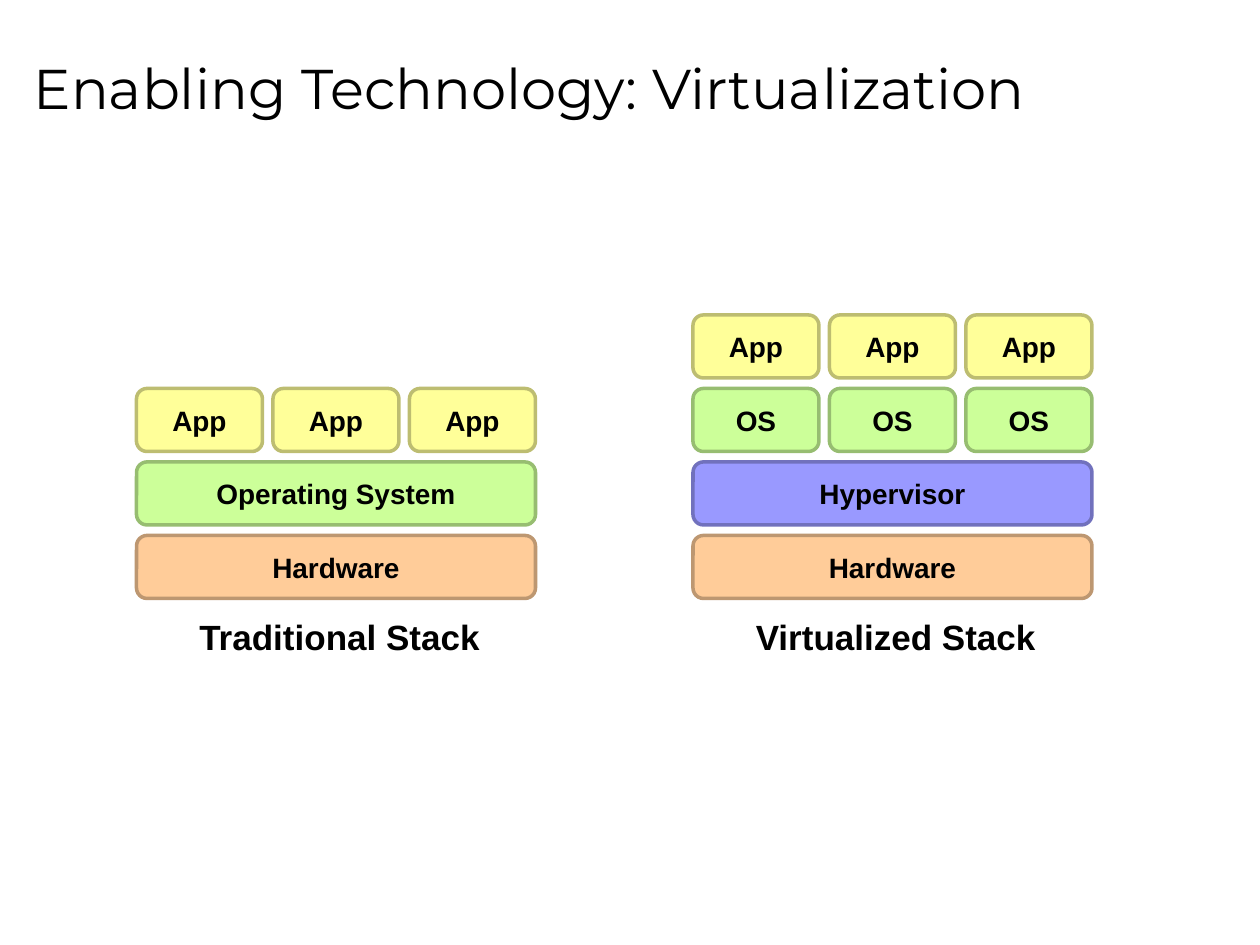
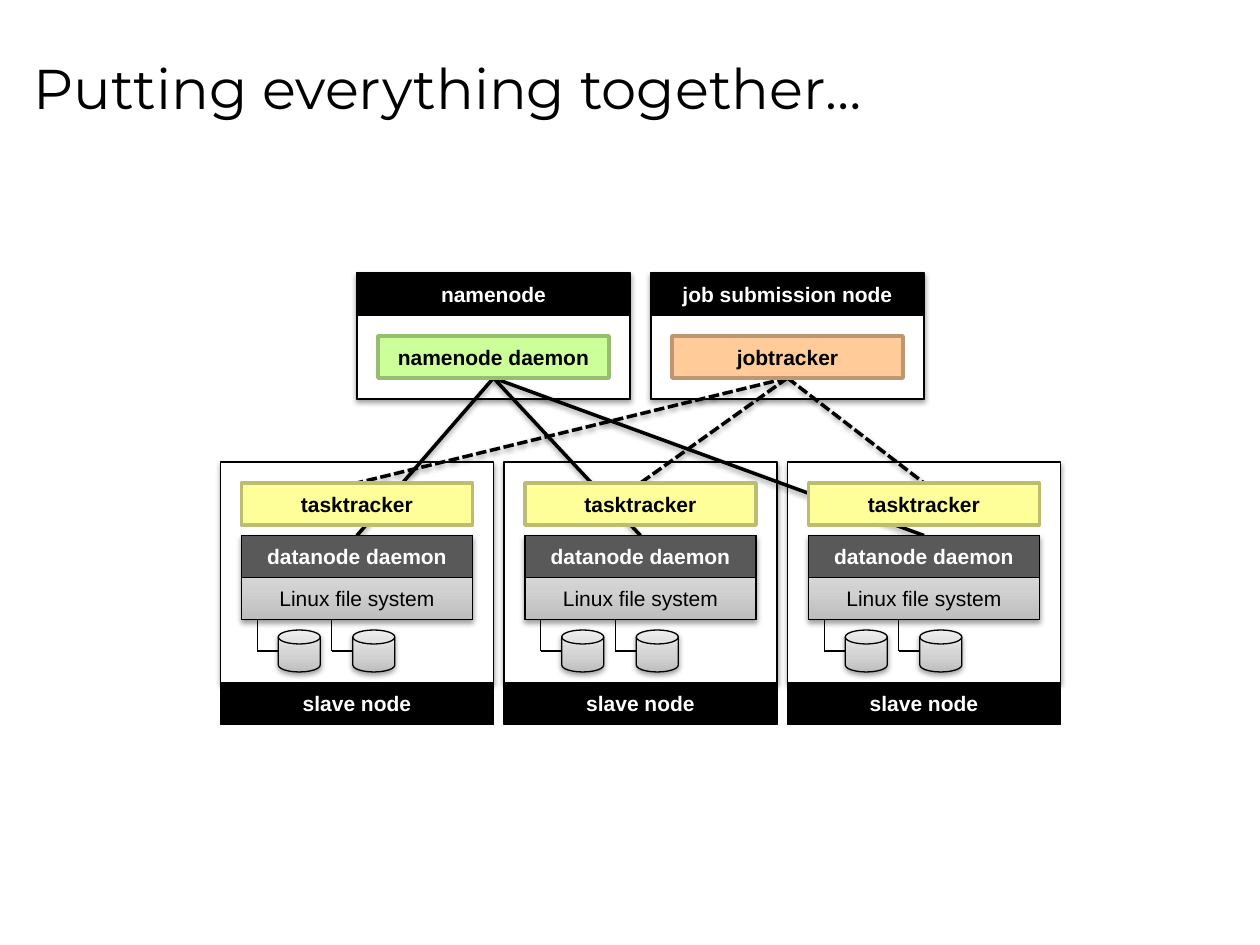
from lxml.etree import SubElement
from pptx import Presentation
from pptx.dml.color import RGBColor
from pptx.enum.dml import MSO_LINE
from pptx.enum.shapes import MSO_CONNECTOR, MSO_SHAPE
from pptx.enum.text import MSO_ANCHOR, MSO_AUTO_SIZE, PP_ALIGN
from pptx.oxml import parse_xml
from pptx.oxml.ns import nsdecls, qn
from pptx.util import Emu, Pt

PX = 7620  # 120 px to the inch
TOP, BOTTOM = 0, 2  # connection sites of a rectangle

COLOURS = {
    "black": "000000", "white": "FFFFFF", "charcoal": "595959",
    "orange": "FFCC99", "orange edge": "BD9771",
    "green": "CCFF99", "green edge": "97BD71",
    "yellow": "FFFF99", "yellow edge": "BDBD71",
    "blue": "9999FF", "blue edge": "7171BD",
}
SILVER = ((0, "BDBDBD"), (35, "D1D1D1"), (100, "EEEEEE"))


def px(*lengths):
    return [Emu(length * PX) for length in lengths]


def rgb(name):
    return RGBColor.from_string(COLOURS[name])


def add_shadow(effects):
    shadow = SubElement(effects, qn("a:outerShdw"), blurRad="40000",
                        dist="20000", dir="5400000", rotWithShape="0")
    colour = SubElement(shadow, qn("a:srgbClr"), val=COLOURS["black"])
    SubElement(colour, qn("a:alpha"), val="38000")


class Deck:
    def __init__(self):
        self.presentation = Presentation()
        self.presentation.slide_width, self.presentation.slide_height = px(1200, 900)
        self.slide = None

    def start_slide(self, heading):
        self.slide = self.presentation.slides.add_slide(
            self.presentation.slide_layouts[5])
        title = self.slide.shapes.title
        title.left, title.top, title.width, title.height = px(20, 15, 1140, 135)
        title.text_frame.auto_size = MSO_AUTO_SIZE.NONE
        title.text_frame.vertical_anchor = MSO_ANCHOR.MIDDLE
        self.add_text(title, heading, 32, font="Montserrat", bold=False,
                      align=PP_ALIGN.LEFT)

    def add_text(self, holder, text, size, colour="black", font="Arial", bold=True,
                 align=PP_ALIGN.CENTER):
        paragraph = holder.text_frame.paragraphs[0]
        paragraph.alignment = align
        run = paragraph.add_run()
        run.text = text
        run.font.name, run.font.size, run.font.bold = font, Pt(size), bold
        run.font.color.rgb = rgb(colour)

    def box(self, left, top, width, height, fill=None, text=None, size=12,
            ink="black", bold=True, kind=MSO_SHAPE.RECTANGLE, shadow=False):
        """Draw a shape; a fill with an edge colour gets the thick tinted outline."""
        shape = self.slide.shapes.add_shape(kind, *px(left, top, width, height))
        edge = f"{fill} edge"
        tinted = edge in COLOURS
        shape.line.color.rgb = rgb(edge if tinted else "black")
        shape.line.width = Pt(2 if tinted else 0.75)
        if fill == "silver":
            self.fill_silver(shape)
        elif fill:
            shape.fill.solid()
            shape.fill.fore_color.rgb = rgb(fill)
        else:
            shape.fill.background()
        shape.shadow.inherit = False
        if shadow:
            add_shadow(shape._element.spPr.find(qn("a:effectLst")))
        if text:
            shape.text_frame.vertical_anchor = MSO_ANCHOR.MIDDLE
            self.add_text(shape, text, size, ink, bold=bold)
        return shape

    def fill_silver(self, shape):
        stops = "".join(f'<a:gs pos="{position * 1000}"><a:srgbClr val="{colour}"/></a:gs>'
                        for position, colour in SILVER)
        gradient = parse_xml(
            f'<a:gradFill {nsdecls("a")} rotWithShape="1"><a:gsLst>{stops}</a:gsLst>'
            '<a:lin ang="16200000" scaled="0"/></a:gradFill>')
        shape._element.spPr.find(qn("a:prstGeom")).addnext(gradient)

    def caption(self, left, top, width, height, text):
        box = self.slide.shapes.add_textbox(*px(left, top, width, height))
        box.text_frame.word_wrap = False
        box.text_frame.auto_size = MSO_AUTO_SIZE.SHAPE_TO_FIT_TEXT
        self.add_text(box, text, 20, align=PP_ALIGN.LEFT)

    def line(self, x1=0, y1=0, x2=0, y2=0, width=0.75, shadow=False):
        connector = self.slide.shapes.add_connector(
            MSO_CONNECTOR.STRAIGHT, *px(x1, y1, x2, y2))
        connector.line.color.rgb = rgb("black")
        connector.line.width = Pt(width)
        effects = SubElement(connector._element.spPr, qn("a:effectLst"))
        if shadow:
            add_shadow(effects)
        return connector

    def link(self, master, worker, above, dashed=False):
        """Join two boxes with a line stacked just above the given panel."""
        connector = self.line(width=2, shadow=True)
        connector.begin_connect(master, BOTTOM)
        connector.end_connect(worker, TOP)
        if dashed:
            connector.line.dash_style = MSO_LINE.SQUARE_DOT
        above._element.addnext(connector._element)


def draw_stack(deck, left, layers, caption):
    """Pile up layers of (text, colour, cells), the lowest first."""
    gap, full_width, height = 10, 380, 60
    for level, (text, colour, cells) in enumerate(layers):
        width = (full_width - gap * (cells - 1)) // cells
        for cell in range(cells):
            deck.box(left + cell * (width + gap), 510 - level * (height + gap),
                     width, height, colour, text, 16,
                     kind=MSO_SHAPE.ROUNDED_RECTANGLE)
    deck.caption(left + 48, 580, 293, 53, caption)


def draw_master(deck, left, name, daemon, colour):
    deck.box(left, 260, 260, 40, "black", name, ink="white")
    deck.box(left, 300, 260, 80)
    return deck.box(left + 20, 320, 220, 40, colour, daemon)


def draw_slave(deck, left):
    inner = left + 20
    deck.box(inner, 510, 220, 80, "silver", shadow=True)
    datanode = deck.box(inner, 510, 220, 40, "charcoal", "datanode daemon", ink="white")
    deck.box(inner, 550, 220, 40, text="Linux file system", bold=False)
    for disk in (left + 55, left + 126):
        deck.box(disk, 600, 40, 40, "silver", shadow=True,
                 kind=MSO_SHAPE.FLOWCHART_MAGNETIC_DISK)
        deck.line(disk - 20, 590, disk - 20, 620)
        deck.line(disk - 20, 620, disk, 620)
    tasktracker = deck.box(inner, 460, 220, 40, "yellow", "tasktracker")
    deck.box(left, 650, 260, 40, "black", "slave node", ink="white")
    return datanode, tasktracker


def virtualization_slide(deck):
    deck.start_slide("Enabling Technology: Virtualization")
    hardware = ("Hardware", "orange", 1)
    apps = ("App", "yellow", 3)
    draw_stack(deck, 130, [hardware, ("Operating System", "green", 1), apps],
               "Traditional Stack")
    draw_stack(deck, 660, [hardware, ("Hypervisor", "blue", 1), ("OS", "green", 3), apps],
               "Virtualized Stack")


def cluster_slide(deck):
    deck.start_slide("Putting everything together…")
    namenode_left, job_left = 340, 620
    slave_lefts = [210 + 270 * i for i in range(3)]
    for left in (namenode_left, job_left):
        deck.box(left, 260, 260, 120, "white", shadow=True)
    for left in slave_lefts:
        top_panel = deck.box(left, 440, 260, 210, "white", shadow=True)

    slaves = [draw_slave(deck, left) for left in slave_lefts]
    namenode = draw_master(deck, namenode_left, "namenode", "namenode daemon", "green")
    jobtracker = draw_master(deck, job_left, "job submission node", "jobtracker", "orange")
    for datanode, tasktracker in slaves:
        deck.link(jobtracker, tasktracker, top_panel, dashed=True)
        deck.link(namenode, datanode, top_panel)


def main():
    deck = Deck()
    virtualization_slide(deck)
    cluster_slide(deck)
    deck.presentation.save("out.pptx")


if __name__ == "__main__":
    main()
